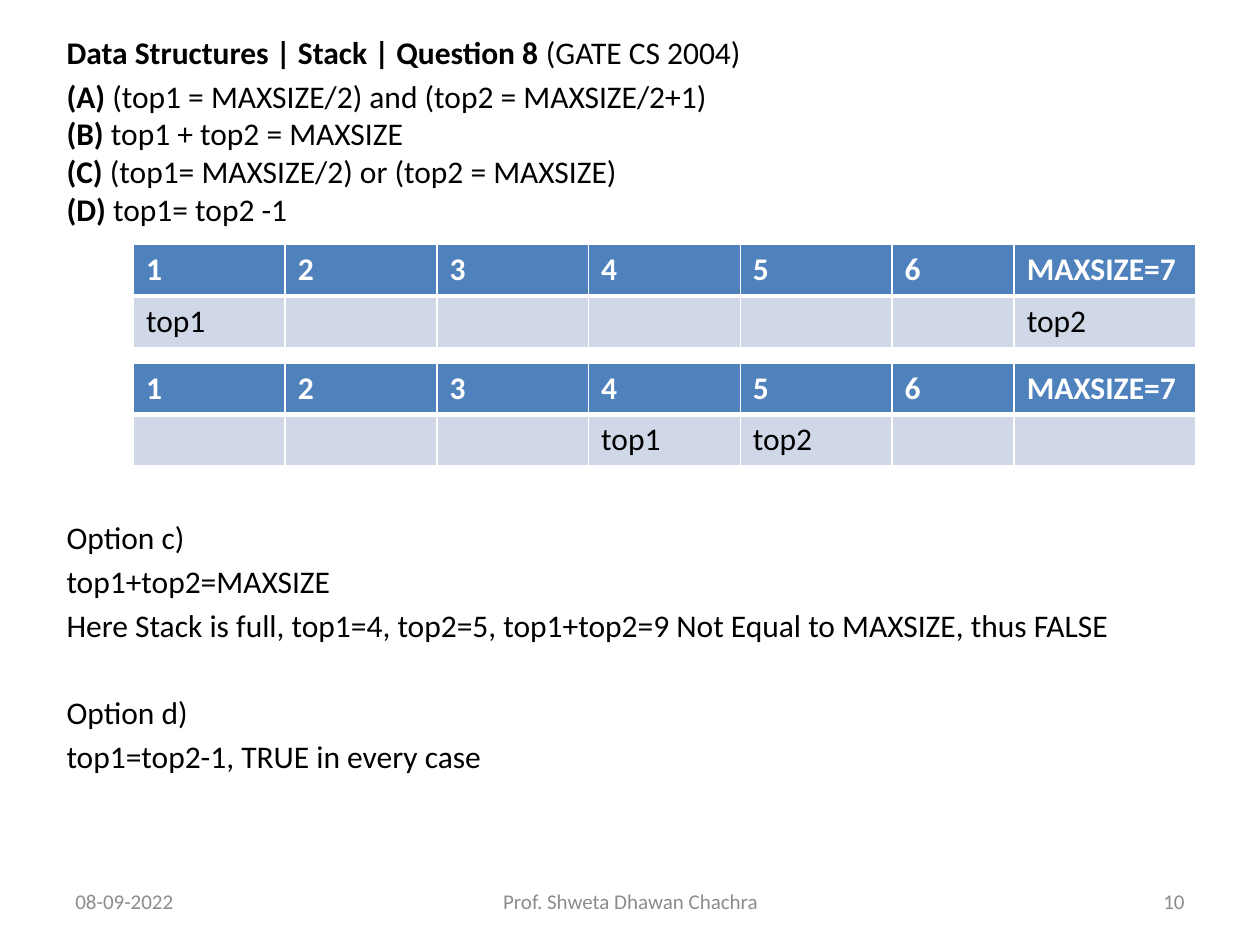
import pptx
import pptx.dml.color
import pptx.enum.text
import pptx.oxml.ns
import pptx.util
from lxml import etree

Inches = pptx.util.Inches
Pt = pptx.util.Pt
Align = pptx.enum.text.PP_ALIGN
Anchor = pptx.enum.text.MSO_ANCHOR

COLORS = {
    "text": "000000",
    "footer": "8C8C8C",
    "header": "4F81BD",
    "body": "D0D8E8",
    "white": "FFFFFF",
}


class SlideWriter:
    """Holds the style and the slide being filled."""

    font_name = "Calibri"
    text_size = 18
    footer_size = 12

    def __init__(self, slide):
        self.slide = slide

    def color(self, name):
        return pptx.dml.color.RGBColor.from_string(COLORS[name])

    def style(self, span, size, color, bold=False):
        span.font.name = self.font_name
        span.font.size = Pt(size)
        span.font.bold = bold
        span.font.color.rgb = self.color(color)

    def text_box(self, left, top, width, height, lines, size=text_size,
                 color="text", align=Align.LEFT, anchor=Anchor.TOP):
        """Each line is (bold part, plain part, points of space before)."""
        box = self.slide.shapes.add_textbox(
            Inches(left), Inches(top), Inches(width), Inches(height))
        frame = box.text_frame
        frame.word_wrap = True
        frame.vertical_anchor = anchor
        for index, (strong, plain, space) in enumerate(lines):
            para = frame.add_paragraph() if index else frame.paragraphs[0]
            para.alignment = align
            para.space_before = Pt(space)
            for words, bold in ((strong, True), (plain, False)):
                if words:
                    span = para.add_run()
                    span.text = words
                    self.style(span, size, color, bold)

    def footer(self, left, width, words, align):
        self.text_box(left, 6.95, width, 0.4, [("", words, 0)],
                      self.footer_size, "footer", align, Anchor.MIDDLE)

    def borders(self, cell, widths):
        properties = cell._tc.get_or_add_tcPr()
        for side, points in widths.items():
            line = etree.SubElement(
                properties, pptx.oxml.ns.qn(f"a:ln{side}"), w=str(Pt(points)))
            fill = etree.SubElement(line, pptx.oxml.ns.qn("a:solidFill"))
            etree.SubElement(
                fill, pptx.oxml.ns.qn("a:srgbClr"), val=COLORS["white"])

    def table(self, left, top, widths, row_height, rows):
        table = self.slide.shapes.add_table(
            len(rows), len(widths), Inches(left), Inches(top),
            Inches(sum(widths)), Inches(row_height * len(rows))).table
        for column, width in zip(table.columns, widths):
            column.width = Inches(width)
        for row_index, values in enumerate(rows):
            header = row_index == 0
            table.rows[row_index].height = Inches(row_height)
            for column_index, value in enumerate(values):
                cell = table.cell(row_index, column_index)
                self.borders(cell, {"L": 1, "R": 1, "T": 1 if header else 3,
                                    "B": 3 if header else 1})
                cell.fill.solid()
                cell.fill.fore_color.rgb = self.color(
                    "header" if header else "body")
                cell.text_frame.text = value
                for span in cell.text_frame.paragraphs[0].runs:
                    self.style(span, self.text_size,
                               "white" if header else "text", header)


def main():
    deck = pptx.Presentation()
    deck.slide_width, deck.slide_height = Inches(10), Inches(7.5)
    writer = SlideWriter(deck.slides.add_slide(deck.slide_layouts[6]))

    # Question and answer options
    writer.text_box(0.43, 0.21, 9, 1.7, [
        ("Data Structures | Stack | Question 8 ", "(GATE CS 2004)", 0),
        ("(A)", " (top1 = MAXSIZE/2) and (top2 = MAXSIZE/2+1)", 3.6),
        ("(B)", " top1 + top2 = MAXSIZE", 0),
        ("(C)", " (top1= MAXSIZE/2) or (top2 = MAXSIZE)", 0),
        ("(D)", " top1= top2 -1", 0),
    ])

    # Array before and after it fills up
    last_widths = [0.97, 1.44]
    widths = [(8.43 - sum(last_widths)) / 5] * 5 + last_widths
    header = [str(number) for number in range(1, 7)] + ["MAXSIZE=7"]
    for top, first, second in ((1.94, 1, 7), (2.88, 4, 5)):
        marks = {first: "top1", second: "top2"}
        cells = [marks.get(position, "") for position in range(1, 8)]
        writer.table(1.06, top, widths, 0.41, [header, cells])

    # Reasoning for the options
    writer.text_box(0.43, 4.06, 9, 2.3, [
        ("", "Option c)", 0),
        ("", "top1+top2=MAXSIZE", 3.6),
        ("", "Here Stack is full, top1=4, top2=5, top1+top2=9 "
             "Not Equal to MAXSIZE, thus FALSE", 3.6),
        ("", "Option d)", 28.4),
        ("", "top1=top2-1, TRUE in every case", 3.6),
    ])

    # Footer
    writer.footer(0.5, 2.33, "08-09-2022", Align.LEFT)
    writer.footer(3.42, 3.17, "Prof. Shweta Dhawan Chachra", Align.CENTER)
    writer.footer(7.17, 2.33, "10", Align.RIGHT)

    deck.save("out.pptx")


if __name__ == "__main__":
    main()
